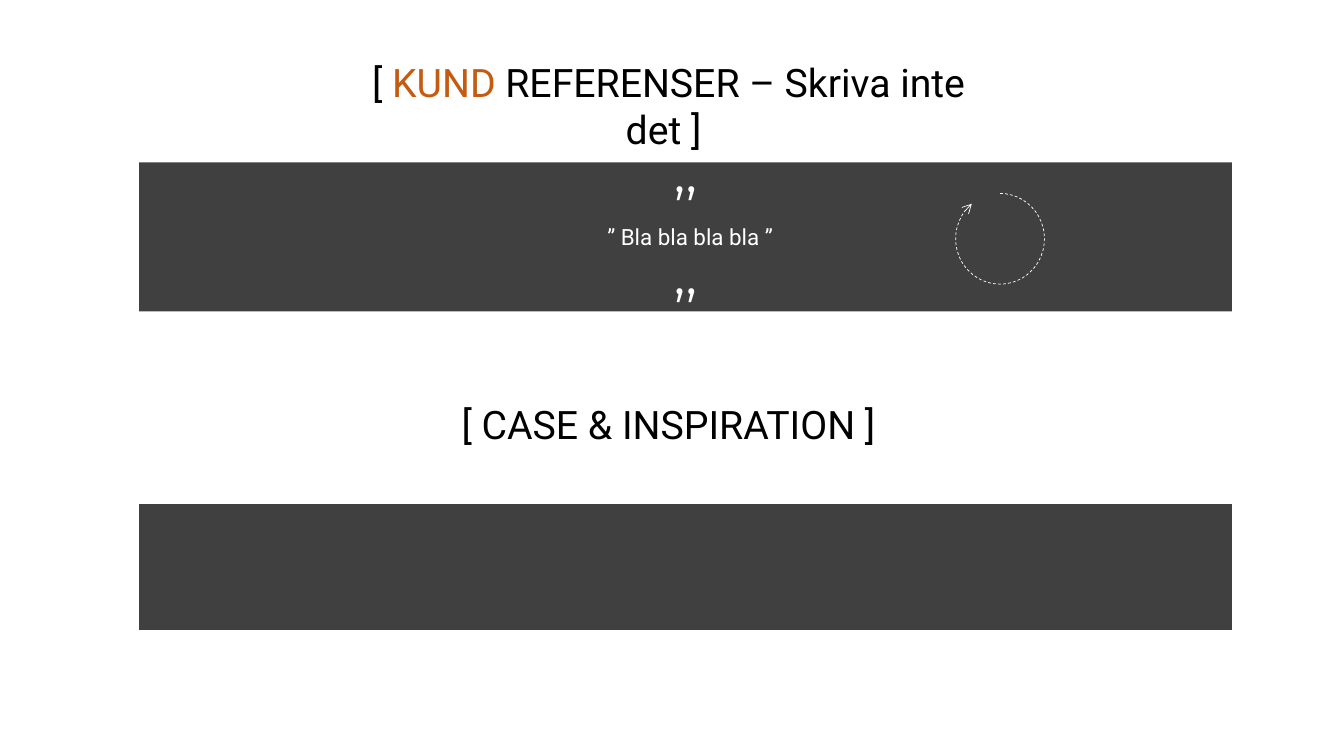
from pptx import Presentation
from pptx.dml.color import RGBColor
from pptx.enum.dml import MSO_LINE_DASH_STYLE as Dash
from pptx.enum.shapes import MSO_SHAPE as Kind
from pptx.enum.text import MSO_ANCHOR as Anchor, MSO_AUTO_SIZE as Fit, PP_ALIGN as Align
from pptx.oxml.ns import qn
from pptx.util import Pt
from lxml.etree import SubElement

WHITE, BLACK, GREY, ORANGE = "FFFFFF", "000000", "404040", "C55A11"
LEFT, WIDE = 99.4, 780.5


def paint(part, hue):
    """Give a font, or a fill made solid, its colour."""
    if hasattr(part, "solid"):
        part.solid()
        part.fore_color.rgb = RGBColor.from_string(hue)
    else:
        part.color.rgb = RGBColor.from_string(hue)


def write(shape, runs, size, face="Roboto", wrap=True):
    """Fill a shape with one centred paragraph of (text, colour) runs."""
    frame = shape.text_frame
    frame.word_wrap = wrap
    frame.auto_size = Fit.SHAPE_TO_FIT_TEXT
    frame.vertical_anchor = Anchor.TOP
    para = frame.paragraphs[0]
    para.alignment = Align.CENTER
    for text, hue in runs:
        run = para.add_run()
        run.text = text
        run.font.size, run.font.name = Pt(size), face
        paint(run.font, hue)


def label(slide, box, text, size, face="Roboto", wrap=True):
    shape = slide.shapes.add_textbox(*map(Pt, box))
    write(shape, [(text, WHITE)], size, face, wrap)


def heading(shape, top, runs):
    shape.left, shape.top, shape.width, shape.height = map(Pt, (234, top, 480, 55.4))
    write(shape, runs, 28)


def band(slide, box):
    bar = slide.shapes.add_shape(Kind.RECTANGLE, *map(Pt, box))
    bar.shadow.inherit = False
    paint(bar.fill, GREY)
    bar.line.fill.background()


def loop(slide, box):
    """Dashed circular arrow."""
    arc = slide.shapes.add_shape(Kind.ARC, *map(Pt, box))
    arc.shadow.inherit = False
    arc.adjustments[0], arc.adjustments[1] = 162, 138.69
    arc.fill.background()
    paint(arc.line.fill, WHITE)
    arc.line.width = Pt(0.5)
    arc.line.dash_style = Dash.DASH
    SubElement(arc.line._get_or_add_ln(), qn("a:tailEnd"), type="arrow")


def quote(slide, box):
    """Dark band with a quotation between two marks, and a loop."""
    left, top = box[:2]
    band(slide, box)
    label(slide, (left + 168.4, top + 39.6, 446.4, 26.6), " ” Bla bla bla bla ”", 16)
    for drop in (-21.6, 51.1):
        label(slide, (left + 369.3, top + drop, 41.8, 55.4), ",,", 40, "Montserrat", False)
    loop(slide, (left + 583.2, top + 22.3, 63.4, 64.8))


def main():
    deck = Presentation()
    deck.slide_width, deck.slide_height = Pt(960), Pt(540)
    slide = deck.slides.add_slide(deck.slide_layouts[5])

    # Customer references
    heading(slide.shapes.title, 38.2, [
        (" [ ", BLACK), ("KUND", ORANGE), (" REFERENSER – Skriva inte det ]", BLACK)])
    quote(slide, (LEFT, 115.9, WIDE, 106.6))

    # Cases
    case = slide.shapes.add_textbox(0, 0, 0, 0)
    heading(case, 282.2, [(" [ CASE & INSPIRATION ]", BLACK)])
    band(slide, (LEFT, 360, WIDE, 90))

    deck.save("out.pptx")


if __name__ == "__main__":
    main()
